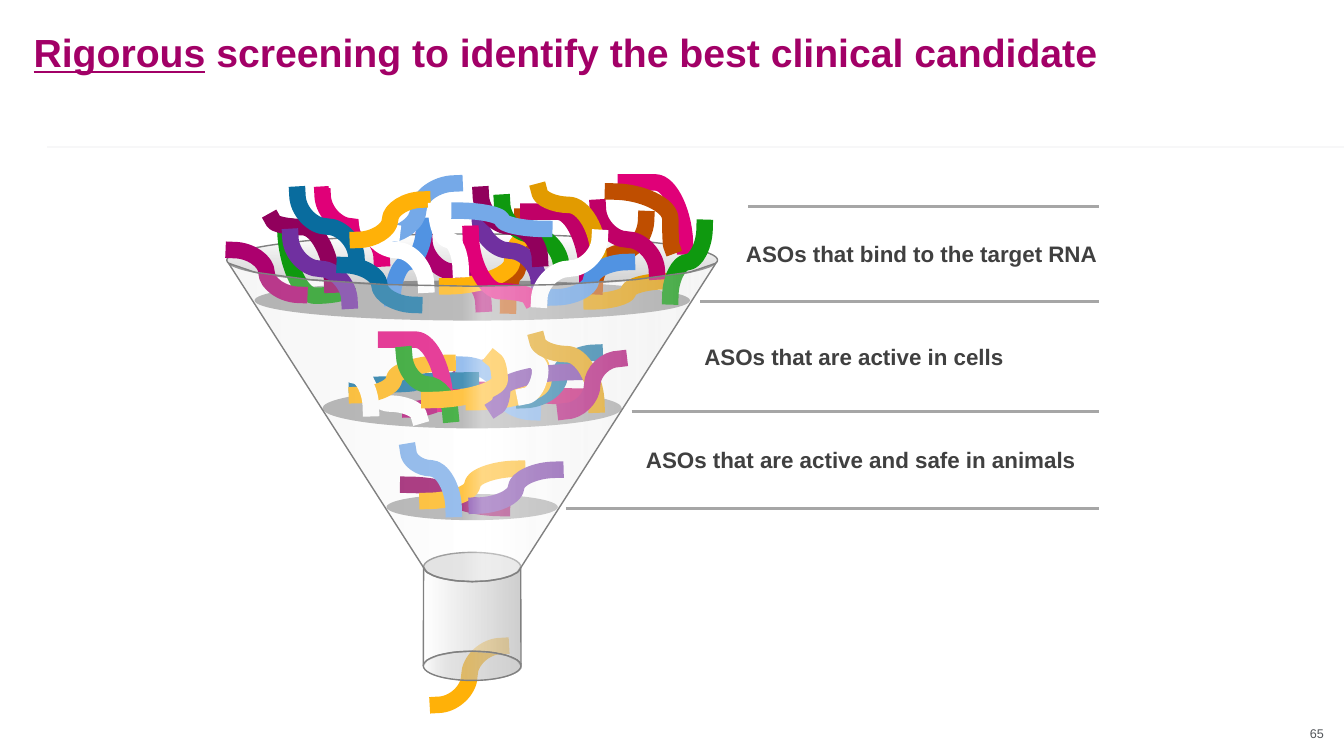
from dataclasses import dataclass
from math import asin, cos, pi, sin

from lxml import etree
from pptx import Presentation
from pptx import util as u
from pptx.dml.color import RGBColor
from pptx.enum import shapes, text
from pptx.oxml.ns import qn


@dataclass(frozen=True)
class Theme:
    """Colours, type sizes and line widths of the slide."""
    face: str = "Arial"
    head: str = "A20067"
    label: str = "404040"
    page: str = "53565A"
    faint: str = "F7F7F8"
    rule: str = "A6A6A6"
    edge: str = "808080"
    big: int = 28
    mid: int = 16
    small: int = 9
    strand: float = 11.75


T = Theme()
TONES = {
    "plum": "AC006E", "wine": "C00067", "dark": "91005C", "pink": "E00078", "gold": "FFB108",
    "ochre": "E29B00", "rust": "BF4E00", "leaf": "0F990F", "grape": "7030A0", "teal": "096C9E",
    "blue": "5193E2", "sky": "75A9E8", "white": "FFFFFF",
}
GLASS = [(0, "FFFFFF", 75), (100, "BFBFBF", 75)]
CONE = [(0, "D9D9D9", 25), (48, "FFFFFF", 25), (52, "FFFFFF", 50), (100, "D9D9D9", 25)]
MOUTH = [(0, "FFFFFF", 75), (29, "C2C2C2", 47), (100, "BFBFBF", 75)]
SHELF = [(0, "595959", 54)]
STRANDS = [
    ("h", "plum", 0.5, 208.8, 154.1, -59.8, 30.2), ("h", "wine", 0.5, 202.3, 170.6, 69.1, 4.7),
    ("h", "dark", 0.5, 147.6, 238.3, 67, 16.6), ("v", "pink", 0.5, 86.4, 31),
    ("h", "gold", 0.5, 225.4, 226.8, -64.1, 23), ("h", "sky", 0.5, 187.2, 152.6, 49.3, 33.8),
    ("v", "leaf", 1.08, 59.8, 54), ("h", "grape", 0.5, 252.7, 227.5, -56.2, 25.6),
    ("h", "teal", 0.5, 110.9, 167, 81.4, -3.2), ("v", "white", 0.81, 113, 143.3),
    ("v", "rust", 0.64, 229, 46.8, -10.1, 63.4), ("v", "plum", 0.5, 159.1, 63.4),
    ("v", "wine", 0, 233.3, 43.2), ("v", "dark", 0.1, 51.1, 49.7),
    ("h", "ochre", 0.5, 331.2, 92.9, -52.6, 14.4), ("h", "gold", 0.19, 232.6, 61.2, -57.2, 35.3),
    ("v", "blue", 0.5, 159.1, 53.3, -22.7, 51.8), ("h", "sky", 0.5, 180.7, 23, -51.8, 37.4),
    ("v", "grape", 0.5, 198.7, 48.2), ("v", "teal", 0.5, 68.4, 31),
    ("h", "white", 0.5, 97.2, 20.9, 38.9, 37.4), ("v", "white", 0.46, 118.1, 49.7),
    ("v", "rust", 0.5, 280.8, 96.5, 36.7, -48), ("v", "pink", 0, 303.1, 22.3),
    ("v", "leaf", 0.5, 214.6, 36.7), ("h", "plum", 0.5, 23, 70.6, 46.8, 32),
    ("v", "wine", 0.5, 283, 40.3), ("v", "dark", 0.5, 199.4, 31),
    ("v", "pink", 0.9, 192.2, 59), ("v", "ochre", 0.21, 241.2, 28.8),
    ("h", "gold", 0.5, 111.6, 63.4, 46.1, -28.8), ("h", "blue", 0.5, 252.7, 104.4, 51.1, -25.2),
    ("h", "sky", 0.5, 184.3, 42.5, 60.5, 13), ("v", "leaf", 0.5, 359.3, 54.7, -24.5, 49),
    ("v", "grape", 0.5, 63.4, 61.2), ("h", "teal", 0.5, 102.2, 81.4, 49.7, 28.4),
    ("v", "white", 0.5, 167.8, 42.5, 17.3, 41.8), ("v", "white", 0.5, 284.4, 61.9, -43.2, 44),
    ("h", "rust", 0.98, 293.8, 28.8, 41.8, 38.9), ("h", "gold", 0.5, 213.8, 353.5, -45, 42),
    ("h", "teal", 0.5, 280.8, 144, -50.4, 33.8), ("h", "gold", 1.08, 194.4, 179.3, 46.1, -28.8),
    ("h", "gold", 0.59, 175.7, 151.2, -64.8, 23), ("h", "grape", 0.92, 266.4, 157.7, -56.2, 25.2),
    ("v", "sky", 0.29, 147.6, 214.6, 32.4, 41), ("h", "white", 1.28, 192.2, 137.5, 38.9, 37.4),
    ("v", "ochre", 0.21, 239.8, 135.4), ("v", "pink", 0, 131.8, 134.6),
    ("v", "leaf", 0.5, 144.7, 145.4, 33.1, 42.5), ("h", "gold", 1.09, 162.7, 177.8, 46.1, -28.8),
    ("h", "plum", 0.5, 298.1, 148.3, -38.2, 37.4), ("v", "white", 0.5, 97.9, 136.8, 23, 46.8),
]
RULES = [(130.3, 39.6), (95.8, 107.3), (46.8, 185.8), (0, 255.3)]
LABELS = [
    ("ASOs that bind to the target RNA", 121.4, 59.8, 278),
    ("ASOs that are active in cells", 91.7, 133.7, 231),
    ("ASOs that are active and safe in animals", 50, 207.4, 325.4),
]


def put(item, vals):
    """Set each named value on the item."""
    for name, val in vals.items():
        setattr(item, name, val)


def write(para, words, size, tone, **more):
    """Add one formatted run to a paragraph."""
    run = para.add_run()
    run.text = words
    put(run.font, {"name": T.face, "size": u.Pt(size), **more})
    run.font.color.rgb = RGBColor.from_string(tone)


def bare(frame, **more):
    """Remove the insets of a text frame and set its other values."""
    sides = ("left", "right", "top", "bottom")
    put(frame, {**{f"margin_{side}": 0 for side in sides}, **more})


def link(slide, kind, start, end, tone, width):
    """Draw a connector without a shadow."""
    line = slide.shapes.add_connector(kind, *map(u.Pt, (*start, *end)))
    line.line.color.rgb = RGBColor.from_string(tone)
    line.line.width = u.Pt(width)
    etree.SubElement(line._element.spPr, qn("a:effectLst"))
    return line


def strand(slide, box, axis, tone, bend, x, y, dx=42.2, dy=45.6):
    """Draw one square-ended strand that leaves along the given axis."""
    mx, my = box[0] + x + dx / 2, box[1] + y + dy / 2
    if axis == "h":
        turn, vx, vy = (0, dx, dy) if dx > 0 else (180, -dx, -dy)
    else:
        turn, vx, vy = (270, -dy, dx) if dx > 0 and dy > 0 else (90, dy, -dx)
    start, end = (mx - vx / 2, my - vy / 2), (mx + vx / 2, my + vy / 2)
    line = link(slide, shapes.MSO_CONNECTOR.CURVE, start, end, TONES[tone], T.strand)
    props = line._element.spPr
    props.find(qn("a:ln")).set("cap", "sq")
    props.find(qn("a:xfrm")).set("rot", str(turn * 60000))
    guides = props.find(qn("a:prstGeom")).find(qn("a:avLst"))
    etree.SubElement(guides, qn("a:gd"), name="adj1", fmla=f"val {round(bend * 100000)}")


def paint(shape, stops, turn=0, edge=True):
    """Fill a shape with see-through colour stops and set its outline."""
    shape.shadow.inherit = False
    if edge:
        shape.line.color.rgb = RGBColor.from_string(T.edge)
        shape.line.width = u.Pt(1)
    else:
        shape.line.fill.background()
    props = shape._element.spPr
    if len(stops) == 1:
        shape.fill.solid()
        spots = [props.find(qn("a:solidFill"))]
    else:
        shape.fill.gradient()
        shape.fill.gradient_angle = -turn % 360
        rack = props.find(qn("a:gradFill")).find(qn("a:gsLst"))
        rack.clear()
        spots = [etree.SubElement(rack, qn("a:gs"), pos=str(s[0] * 1000)) for s in stops]
    for spot, (_, tone, alpha) in zip(spots, stops):
        color = etree.SubElement(spot, qn("a:srgbClr"), val=tone)
        etree.SubElement(color, qn("a:alpha"), val=str(alpha * 1000))


def disc(slide, mid, y, w, h, stops, **more):
    """Draw an ellipse around a centre."""
    spot = map(u.Pt, (mid - w / 2, y - h / 2, w, h))
    paint(slide.shapes.add_shape(shapes.MSO_SHAPE.OVAL, *spot), stops, **more)


def arc(mid, y, w, h, start, end, steps=8):
    """Return points along an ellipse between two angles."""
    turns = [start + (end - start) * i / steps for i in range(steps + 1)]
    return [(mid + w / 2 * cos(t), y + h / 2 * sin(t)) for t in turns]


def solid(slide, points, stops):
    """Draw a closed outline through the points."""
    spots = [tuple(map(u.Pt, p)) for p in points]
    pen = slide.shapes.build_freeform(*spots[0], scale=1.0)
    pen.add_line_segments(spots[1:], close=True)
    paint(pen.convert_to_shape(), stops)


def title(slide, box):
    """Place the headline, its first word underlined."""
    head = slide.shapes.title
    put(head, dict(zip(("left", "top", "width", "height"), map(u.Pt, box))))
    bare(head.text_frame, word_wrap=True, auto_size=text.MSO_AUTO_SIZE.NONE,
         vertical_anchor=text.MSO_ANCHOR.TOP)
    para = head.text_frame.paragraphs[0]
    put(para, {"alignment": text.PP_ALIGN.LEFT, "line_spacing": 0.9})
    write(para, "Rigorous", T.big, T.head, bold=True, underline=True)
    rest = " screening to identify the best clinical candidate"
    write(para, rest, T.big, T.head, bold=True, underline=False)


def folio(slide, box):
    """Place the page number."""
    frame = slide.shapes.add_textbox(*map(u.Pt, box)).text_frame
    bare(frame, word_wrap=True, vertical_anchor=text.MSO_ANCHOR.MIDDLE)
    frame.paragraphs[0].alignment = text.PP_ALIGN.CENTER
    write(frame.paragraphs[0], "65", T.small, T.page)


def stages(slide, box):
    """Place the rules and the label of each screening stage."""
    x, y, w, _ = box
    for dx, dy in RULES:
        link(slide, shapes.MSO_CONNECTOR.STRAIGHT, (x + dx, y + dy), (x + w, y + dy), T.rule, 2.25)
    for words, dx, dy, wide in LABELS:
        frame = slide.shapes.add_textbox(*map(u.Pt, (x + dx, y + dy, wide, 26.6))).text_frame
        put(frame, {"word_wrap": True, "auto_size": text.MSO_AUTO_SIZE.SHAPE_TO_FIT_TEXT})
        write(frame.paragraphs[0], words, T.mid, T.label, bold=True)


def funnel(slide, box):
    """Build the funnel with its shelves and strands."""
    x, y, w, _ = box
    mid = x + w / 2
    rim = (mid, y + 77.8, 350.6, 37.4)
    neck = (mid, y + 297, 69.4, 20.9)
    mouth = (mid, y + 367.6, 69.8, 20.9)
    disc(slide, *neck, [(0, "BFBFBF", 54)])
    disc(slide, *rim, GLASS, turn=90)
    for dy, wide, high in [(106.6, 311, 28.8), (183.6, 213.8, 28.8), (254.2, 122.4, 18.7)]:
        disc(slide, mid, y + dy, wide, high, SHELF, edge=False)
    for row in STRANDS:
        strand(slide, box, *row)
    solid(slide, arc(*neck, pi, 0) + arc(*mouth, 0, -pi), GLASS)
    lip, base = asin(0.12), asin(0.32)
    solid(slide, arc(*rim, pi - lip, lip) + arc(*neck, base, pi - base), CONE)
    disc(slide, *mouth, MOUTH)


def main():
    """Build and save the slide."""
    deck = Presentation()
    put(deck, {"slide_width": u.Pt(960), "slide_height": u.Pt(540)})
    slide = deck.slides.add_slide(deck.slide_layouts[5])
    link(slide, shapes.MSO_CONNECTOR.STRAIGHT, (33.8, 105.1), (960, 105.1), T.faint, 1)
    folio(slide, (921.6, 516, 38.2, 15.1))
    title(slide, (24, 24, 912, 62))
    stages(slide, (404.3, 108, 380.5, 256))
    funnel(slide, (144, 108, 386.6, 400))
    deck.save("out.pptx")


if __name__ == "__main__":
    main()
